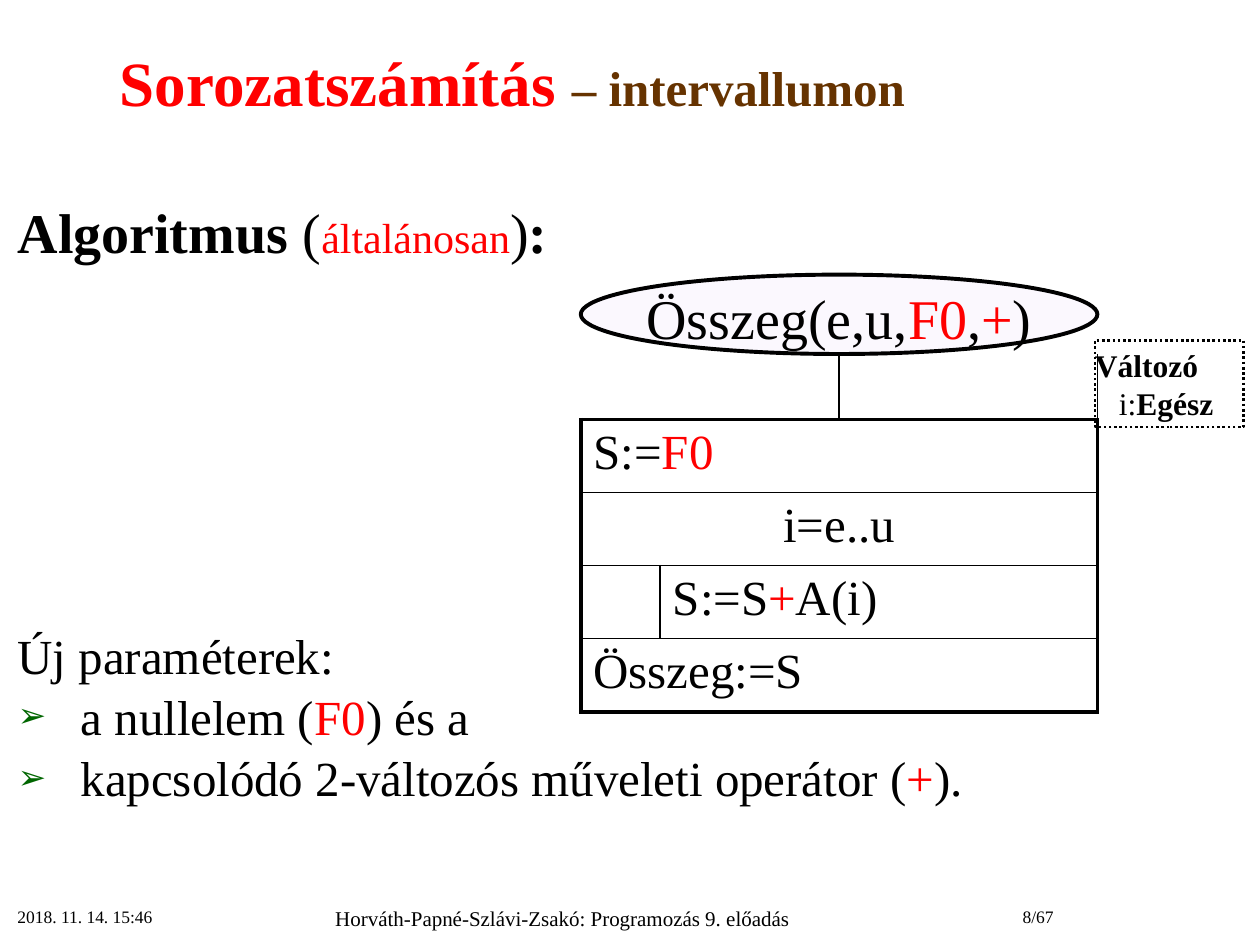
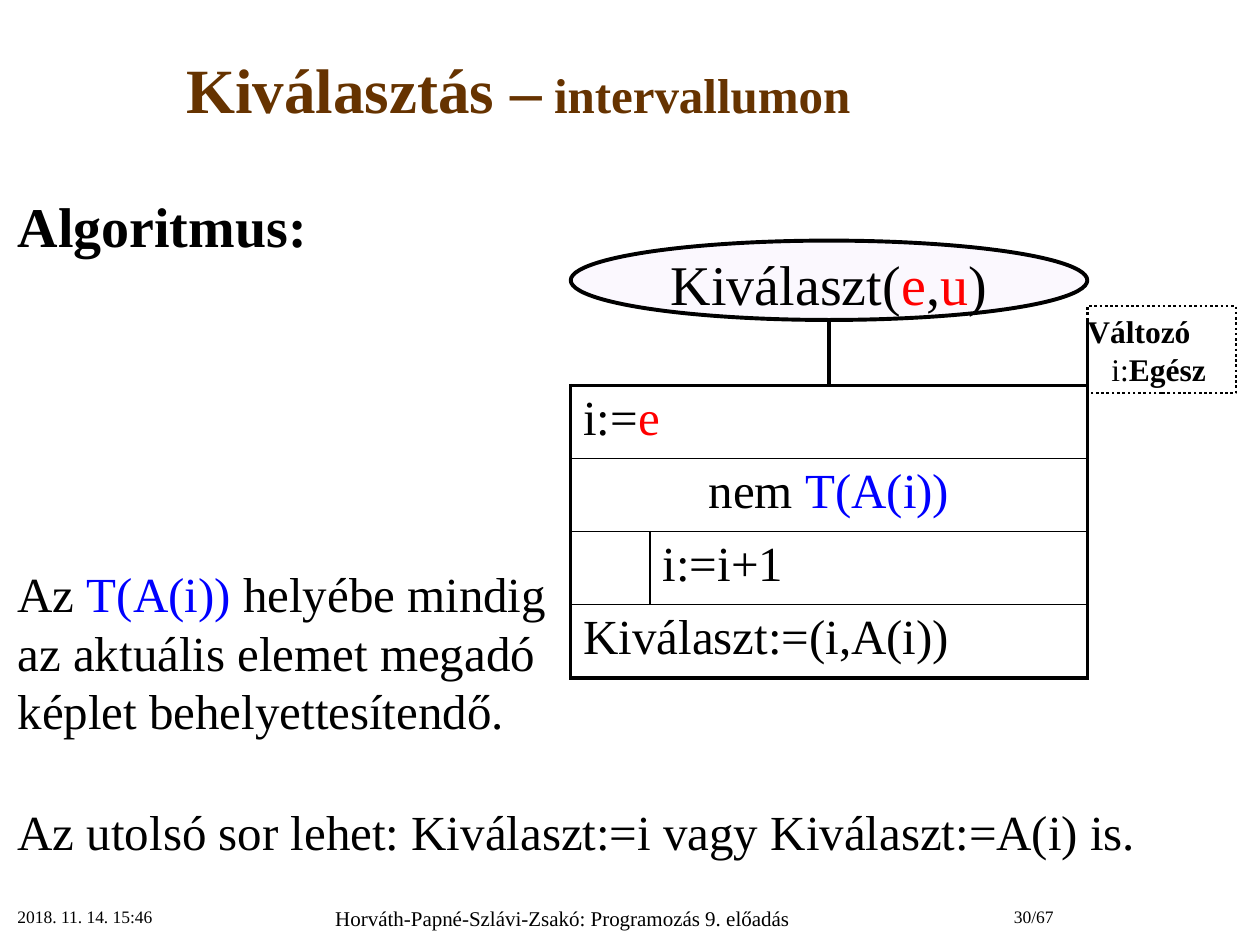
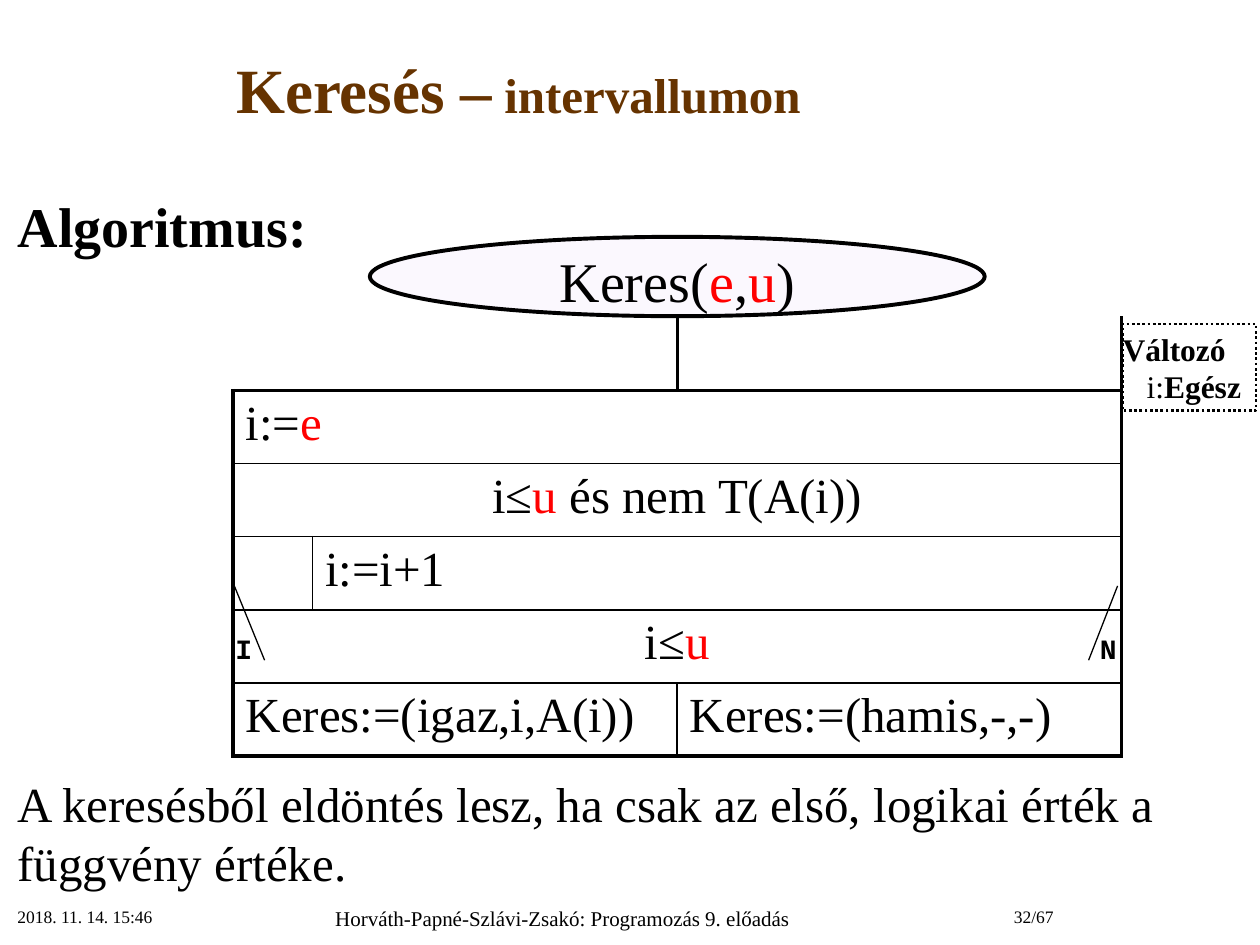
"""Build three lecture slides on algorithm patterns over an interval."""
import pptx
from lxml import etree
from pptx.dml.color import RGBColor
from pptx.enum.dml import MSO_LINE
from pptx.enum.shapes import MSO_CONNECTOR, MSO_SHAPE
from pptx.enum.text import MSO_ANCHOR, MSO_AUTO_SIZE, PP_ALIGN
from pptx.oxml.ns import qn
from pptx.util import Inches, Pt

COLORS = {
    "ink": "000000",
    "red": "FF0000",
    "blue": "0000FF",
    "brown": "663300",
    "green": "006600",
    "lavender": "F3E8FE",
}
SERIF = "Times New Roman"
MONO = "Courier New"
NO_GRID_STYLE = "{2D5ABB26-0587-4C30-8999-92F81FD0307C}"
THICK, THIN = 2.25, 1
OVAL_HEIGHT = 0.63
ROW_HEIGHT = 0.58
GUTTER_WIDTH = 0.63

RED = {"color": "red"}
BLUE = {"color": "blue"}
SMALL = {"size": 28}

FOOTERS = [
    (0.04, 2.08, 0.39, 10, PP_ALIGN.LEFT, "2018. 11. 14. 15:46"),
    (2.12, 4.69, 0.36, 12, PP_ALIGN.CENTER,
     "Horváth-Papné-Szlávi-Zsakó: Programozás 9. előadás"),
]
PAGE_NUMBER = (7.19, 1.27, 0.39, 10, PP_ALIGN.RIGHT)

SLIDES = [
    {
        "page": "8/67",
        "title": [("Sorozatszámítás ", RED), ("– intervallumon ", SMALL)],
        "title_spacing": 0.8,
        "heading": ["Algoritmus ", ("(", {"bold": False}),
                    ("általánosan", {"bold": False, "size": 24, "color": "red"}),
                    (")", {"bold": False}), ":"],
        "body_height": 5.43,
        "body_inset": 0.1,
        "notes": [
            (206, False, ["Új paraméterek:"]),
            (1.3, True, ["a nullelem (", ("F0", RED), ") és a"]),
            (1.3, True, ["kapcsolódó 2-változós műveleti operátor (", ("+", RED), ")."]),
        ],
        "signature": ["Összeg(e,u,", ("F0", RED), ",", ("+", RED), ")"],
        "oval_width": 4.1,
        "diagram_at": (4.61, 2.81, 4.1),
        "stem": (0.52, THIN),
        "steps": [
            ("step", ["S:=", ("F0", RED)]),
            ("loop", ["i=e..u"]),
            ("inner", ["S:=S", ("+", RED), "A(i)"]),
            ("step", ["Összeg:=S"]),
        ],
        "variable_box": (8.69, 2.7, 1.18),
    },
    {
        "page": "30/67",
        "title": ["Kiválasztás –", (" intervallumon", SMALL)],
        "title_spacing": 1.0,
        "heading": ["Algoritmus:"],
        "body_height": 5.35,
        "body_inset": 0.05,
        "notes": [
            (174, False, ["Az ", ("T(A(i)) ", BLUE),
                          "helyébe mindig\naz aktuális elemet megadó\n"
                          "képlet behelyettesítendő."]),
            (35, False, ["Az utolsó sor lehet: Kiválaszt:=i vagy Kiválaszt:=A(i) is."]),
        ],
        "signature": ["Kiválaszt(", ("e", RED), ",", ("u", RED), ")"],
        "oval_width": 4.1,
        "diagram_at": (4.53, 2.54, 4.1),
        "stem": (0.52, THICK),
        "steps": [
            ("step", ["i:=", ("e", RED)]),
            ("loop", ["nem ", ("T(A(i))", BLUE)]),
            ("inner", ["i:=i+1"]),
            ("step", ["Kiválaszt:=(i,A(i))"]),
        ],
        "variable_box": (8.63, 2.43, 1.18),
    },
    {
        "page": "32/67",
        "title": ["Keresés –", (" intervallumon", SMALL)],
        "title_spacing": 1.0,
        "heading": ["Algoritmus:"],
        "body_height": 5.2,
        "body_inset": 0.05,
        "notes": [
            (294, False, ["A keresésből eldöntés lesz, ha csak az első, "
                          "logikai érték a függvény értéke."]),
        ],
        "signature": ["Keres(", ("e", RED), ",", ("u", RED), ")"],
        "oval_width": 4.88,
        "diagram_at": (1.85, 2.51, 7.05),
        "stem": (0.59, THICK),
        "steps": [
            ("step", ["i:=", ("e", RED)]),
            ("loop", ["i≤", ("u", RED), " és nem T(A(i))"]),
            ("inner", ["i:=i+1"]),
            ("branch", ["i≤", ("u", RED)]),
            ("pair", ["Keres:=(igaz,i,A(i))"], ["Keres:=(hamis,-,-)"]),
        ],
        "variable_box": (8.91, 2.57, 1.06),
        "branch_marks": [
            ("I", 1.77, (1.86, 2.1)),
            ("N", 8.63, (8.87, 8.64)),
        ],
    },
]


def rgb(name):
    return RGBColor.from_string(COLORS[name])


def inches(*lengths):
    return [Inches(length) for length in lengths]


def style(font, size=None, color=None, bold=None):
    if size is not None:
        font.size = Pt(size)
    if color is not None:
        font.color.rgb = rgb(color)
    if bold is not None:
        font.bold = bold


def write(paragraph, pieces, size, color="ink", bold=False, align=PP_ALIGN.LEFT,
          face=SERIF):
    paragraph.alignment = align
    paragraph.font.name = face
    style(paragraph.font, size, color, bold)
    for piece in pieces:
        text, changes = (piece, {}) if isinstance(piece, str) else piece
        for number, line in enumerate(text.split("\n")):
            if number:
                paragraph.add_line_break()
            run = paragraph.add_run()
            run.text = line
            style(run.font, **changes)


def indent(paragraph, left, first=0):
    properties = paragraph._p.get_or_add_pPr()
    properties.set("marL", str(Inches(left)))
    properties.set("indent", str(Inches(first)))
    return properties


def set_bullet(paragraph, bulleted):
    properties = indent(paragraph, *((0.5, -0.5) if bulleted else (0, 0)))
    if not bulleted:
        etree.SubElement(properties, qn("a:buNone"))
        return
    color = etree.SubElement(properties, qn("a:buClr"))
    etree.SubElement(color, qn("a:srgbClr"), val=COLORS["green"])
    etree.SubElement(properties, qn("a:buSzPct"), val="70000")
    etree.SubElement(properties, qn("a:buChar"), char="➢")


def place(shape, left, top, width, height):
    shape.left, shape.top, shape.width, shape.height = inches(left, top, width, height)


def add_label(slide, at, pieces, size, **options):
    frame = slide.shapes.add_textbox(*inches(*at)).text_frame
    frame.word_wrap = True
    write(frame.paragraphs[0], pieces, size, **options)


def add_text(slide, content):
    title = slide.shapes.title
    place(title, 0, 0.09, 8.23, 1.22)
    title.text_frame.auto_size = MSO_AUTO_SIZE.NONE
    title.text_frame.vertical_anchor = MSO_ANCHOR.MIDDLE
    heading = title.text_frame.paragraphs[0]
    heading.line_spacing = content["title_spacing"]
    write(heading, content["title"], 36, "brown", True, PP_ALIGN.CENTER)

    body = slide.placeholders[1]
    place(body, 0.04, 1.47, 9.77, content["body_height"])
    frame = body.text_frame
    frame.auto_size = MSO_AUTO_SIZE.NONE
    frame.margin_top = Inches(content["body_inset"])
    first = frame.paragraphs[0]
    set_bullet(first, False)
    first.space_before = Pt(0)
    write(first, content["heading"], 32, bold=True)
    for gap, bulleted, pieces in content["notes"]:
        note = frame.add_paragraph()
        set_bullet(note, bulleted)
        note.space_before = Pt(gap)
        write(note, pieces, 28)


def add_footers(slide, page):
    for left, width, height, size, align, text in FOOTERS + [PAGE_NUMBER + (page,)]:
        add_label(slide, (left, 7.14, width, height), [text], size, align=align)


def add_border(cell, side, width):
    line = etree.SubElement(cell._tc.get_or_add_tcPr(), qn("a:ln" + side),
                            w=str(Pt(width)))
    fill = etree.SubElement(line, qn("a:solidFill"))
    etree.SubElement(fill, qn("a:srgbClr"), val=COLORS["ink"])


def fill_block(table, row, first, last, borders, pieces=(), align=PP_ALIGN.LEFT):
    for column in range(first, last + 1):
        cell = table.cell(row, column)
        for side in "LRTB":
            inside = (side == "L" and column > first) or (
                side == "R" and first < column < last)
            if borders.get(side) and not inside:
                add_border(cell, side, borders[side])
        cell.fill.background()
    origin = table.cell(row, first)
    if last > first:
        origin.merge(table.cell(row, last))
    if pieces:
        write(origin.text_frame.paragraphs[0], pieces, 28, align=align)


def step_blocks(kind, texts):
    if kind == "inner":
        return [(0, 0, []), (1, 2, texts[0])]
    if kind == "pair":
        return [(0, 1, texts[0]), (2, 2, texts[1])]
    return [(0, 2, texts[0])]


def add_diagram(slide, content):
    left, top, width = content["diagram_at"]
    stem_height, stem_width = content["stem"]
    steps = content["steps"]
    height = stem_height + ROW_HEIGHT * len(steps)
    table = slide.shapes.add_table(
        len(steps) + 1, 3, *inches(left, top, width, height)).table
    table.first_row = table.horz_banding = False
    table._tbl.tblPr.find(qn("a:tableStyleId")).text = NO_GRID_STYLE
    widths = [GUTTER_WIDTH, width / 2 - GUTTER_WIDTH, width / 2]
    for column, column_width in zip(table.columns, widths):
        column.width = Inches(column_width)
    for number, row in enumerate(table.rows):
        row.height = Inches(ROW_HEIGHT if number else stem_height)

    fill_block(table, 0, 0, 1, {"R": stem_width, "B": THICK})
    fill_block(table, 0, 2, 2, {"L": stem_width, "B": THICK})
    for row, (kind, *texts) in enumerate(steps, 1):
        centred = kind in ("loop", "branch")
        align = PP_ALIGN.CENTER if centred else PP_ALIGN.LEFT
        for first, last, pieces in step_blocks(kind, texts):
            borders = {
                "L": THIN if first else THICK,
                "R": THICK if last == 2 else THIN,
                "T": THICK if row == 1 else THIN,
                "B": THICK if row == len(steps) else THIN,
            }
            if kind == "loop":
                del borders["B"]
            if not pieces:
                del borders["T"]
            fill_block(table, row, first, last, borders, pieces, align)

    oval_width = content["oval_width"]
    oval = slide.shapes.add_shape(MSO_SHAPE.OVAL, *inches(
        left + (width - oval_width) / 2, top - OVAL_HEIGHT, oval_width, OVAL_HEIGHT))
    oval.shadow.inherit = False
    oval.fill.solid()
    oval.fill.fore_color.rgb = rgb("lavender")
    tint = oval._element.spPr.find(qn("a:solidFill")).find(qn("a:srgbClr"))
    etree.SubElement(tint, qn("a:alpha"), val="30000")
    oval.line.color.rgb = rgb("ink")
    oval.line.width = Pt(THICK)
    frame = oval.text_frame
    frame.word_wrap = False
    frame.margin_top = Inches(0.1)
    frame.vertical_anchor = MSO_ANCHOR.MIDDLE
    write(frame.paragraphs[0], content["signature"], 32, align=PP_ALIGN.CENTER)


def add_branch_mark(slide, letter, left, ends):
    start, end = ends
    slash = slide.shapes.add_connector(
        MSO_CONNECTOR.STRAIGHT, *inches(start, 4.65, end, 5.24))
    slash.line.color.rgb = rgb("ink")
    slash.line.width = Pt(0.75)
    etree.SubElement(slash._element.spPr, qn("a:effectLst"))
    add_label(slide, (left, 4.96, 0.32, 0.37), [letter], 16, bold=True, face=MONO)


def add_variable_box(slide, left, top, width):
    box = slide.shapes.add_shape(MSO_SHAPE.RECTANGLE, *inches(left, top, width, 0.69))
    box.shadow.inherit = False
    box.fill.background()
    box.line.color.rgb = rgb("ink")
    box.line.width = Pt(1.5)
    box.line.dash_style = MSO_LINE.ROUND_DOT
    frame = box.text_frame
    frame.word_wrap = True
    frame.margin_left = frame.margin_right = 0
    frame.margin_top = frame.margin_bottom = Inches(0.04)
    write(frame.paragraphs[0], ["Változó"], 18, bold=True)
    declaration = frame.add_paragraph()
    indent(declaration, 0.19)
    write(declaration, ["i:", ("Egész", {"bold": True})], 18)


def main():
    deck = pptx.Presentation()
    deck.slide_width, deck.slide_height = inches(10, 7.5)
    for content in SLIDES:
        slide = deck.slides.add_slide(deck.slide_layouts[1])
        add_text(slide, content)
        add_diagram(slide, content)
        for mark in content.get("branch_marks", []):
            add_branch_mark(slide, *mark)
        add_footers(slide, content["page"])
        add_variable_box(slide, *content["variable_box"])
    deck.save("out.pptx")


if __name__ == "__main__":
    main()
